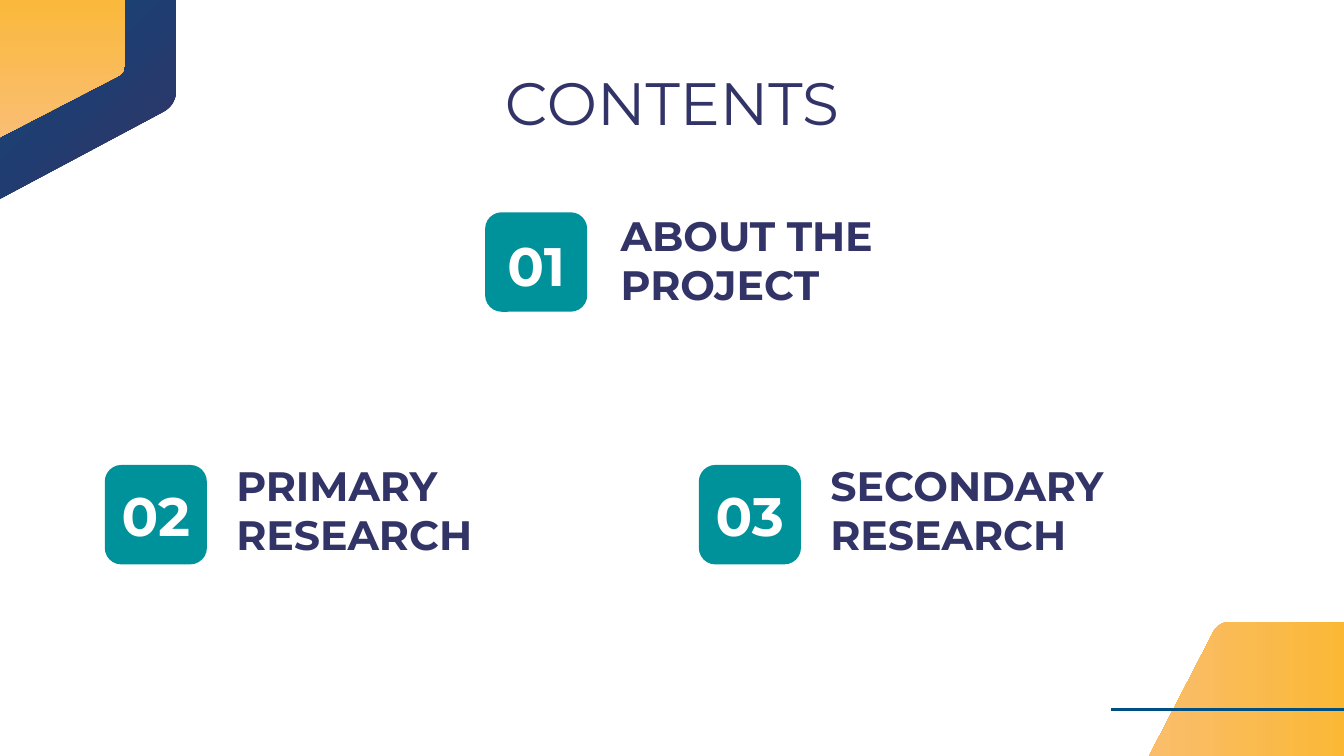
from lxml import etree
from pptx import Presentation
from pptx import util as u
from pptx.dml.color import RGBColor
from pptx.enum import shapes, text
from pptx.oxml import ns

FONT = "Montserrat"
COLORS = {"navy": "323366", "mid_blue": "194175", "blue": "004F83", "teal": "00929B",
          "white": "FFFFFF", "gold": "FAB403", "amber": "FAB93C", "peach": "FABE75"}
GOLD_STOPS = [(0, "gold"), (34, "amber"), (100, "peach")]
BLUE_STOPS = [(0, "navy"), (63, "mid_blue"), (100, "blue")]
TILE_WIDTH, TILE_HEIGHT = 0.76, 0.74
TEXT_HEIGHT = 0.58

# number, heading, tile left and top, number top, heading left and top
ITEMS = [
    ("01", "ABOUT THE PROJECT", 3.61, 1.58, 1.68, 4.52, 1.64),
    ("02", "PRIMARY RESEARCH", 0.78, 3.46, 3.54, 1.66, 3.5),
    ("03", "SECONDARY RESEARCH", 5.2, 3.46, 3.54, 6.08, 3.5),
]


def color(name):
    return RGBColor.from_string(COLORS[name])


def curve(start, control_1, control_2, end, steps=12):
    """Return points along a cubic Bezier curve."""
    points = []
    for step in range(steps + 1):
        t = step / steps
        weights = ((1 - t) ** 3, 3 * t * (1 - t) ** 2, 3 * t ** 2 * (1 - t), t ** 3)
        corners = (start, control_1, control_2, end)
        points.append(tuple(sum(w * c[axis] for w, c in zip(weights, corners))
                            for axis in (0, 1)))
    return points


def fill_gradient(shape, stops, angle):
    """Fill with any number of stops; the angle runs clockwise in degrees."""
    gradient = etree.Element(ns.qn("a:gradFill"), rotWithShape="1")
    stop_list = etree.SubElement(gradient, ns.qn("a:gsLst"))
    for position, name in stops:
        stop = etree.SubElement(stop_list, ns.qn("a:gs"), pos=str(position * 1000))
        etree.SubElement(stop, ns.qn("a:srgbClr"), val=COLORS[name])
    etree.SubElement(gradient, ns.qn("a:lin"), ang=str(angle * 60000), scaled="0")
    shape._element.spPr.find(ns.qn("a:custGeom")).addnext(gradient)


def add_panel(page, points, stops, angle):
    corners = [(u.Inches(x), u.Inches(y)) for x, y in points]
    builder = page.shapes.build_freeform(*corners[0])
    builder.add_line_segments(corners[1:], close=True)
    panel = builder.convert_to_shape()
    panel.shadow.inherit = False
    panel.line.fill.background()
    fill_gradient(panel, stops, angle)


def add_rule(page, left, right, top):
    rule = page.shapes.add_connector(
        shapes.MSO_CONNECTOR.STRAIGHT,
        u.Inches(left), u.Inches(top), u.Inches(right), u.Inches(top))
    rule.line.color.rgb = color("blue")
    rule.line.width = u.Pt(1.5)
    etree.SubElement(rule._element.spPr, ns.qn("a:effectLst"))


def write_text(box, words, size, name, bold=False, align=text.PP_ALIGN.LEFT,
               anchor=text.MSO_ANCHOR.MIDDLE):
    frame = box.text_frame
    frame.word_wrap = True
    frame.auto_size = text.MSO_AUTO_SIZE.NONE
    frame.vertical_anchor = anchor
    frame.margin_left = frame.margin_right = u.Inches(0.1)
    frame.margin_top = frame.margin_bottom = u.Inches(0.1)
    para = frame.paragraphs[0]
    para.alignment = align
    span = para.add_run()
    span.text = words
    span.font.name = FONT
    span.font.size = u.Pt(size)
    span.font.bold = bold
    span.font.color.rgb = color(name)


def add_text(page, left, top, width, words, size, name, align):
    box = page.shapes.add_textbox(u.Inches(left), u.Inches(top),
                                  u.Inches(width), u.Inches(TEXT_HEIGHT))
    write_text(box, words, size, name, bold=True, align=align)


def add_tile(page, left, top):
    tile = page.shapes.add_shape(
        shapes.MSO_SHAPE.ROUNDED_RECTANGLE, u.Inches(left), u.Inches(top),
        u.Inches(TILE_WIDTH), u.Inches(TILE_HEIGHT))
    tile.shadow.inherit = False
    tile.fill.solid()
    tile.fill.fore_color.rgb = color("teal")
    tile.line.fill.background()


def add_decoration(page):
    corner = curve((9.14, 4.63), (9.09, 4.63), (9.04, 4.67), (9.02, 4.72))
    add_panel(page, [(10.62, 6.05), (10.62, 4.63), *corner, (8.33, 6.05)],
              GOLD_STOPS, 180)
    corner = curve((1.22, 0.83), (1.27, 0.8), (1.31, 0.75), (1.31, 0.68))
    add_panel(page, [(1.31, -0.52), (-0.02, -0.52), (-0.02, 1.49), *corner],
              BLUE_STOPS, 225)
    corner = curve((0.93, 0.48), (0.93, 0.52), (0.91, 0.55), (0.87, 0.57))
    add_panel(page, [(-0.02, -0.51), (0.93, -0.51), *corner, (-0.02, 1.03)],
              GOLD_STOPS, 90)
    add_rule(page, 8.27, 10, 5.28)


def set_title(page, words):
    title = page.shapes.title
    title.left, title.top = u.Inches(0.78), u.Inches(0.39)
    title.width, title.height = u.Inches(8.44), u.Inches(0.63)
    write_text(title, words, 32, "navy", align=text.PP_ALIGN.CENTER,
               anchor=text.MSO_ANCHOR.TOP)


def main():
    deck = Presentation()
    deck.slide_width = u.Inches(10)
    deck.slide_height = deck.slide_width * 9 // 16
    page = deck.slides.add_slide(deck.slide_layouts[5])
    add_decoration(page)
    set_title(page, "CONTENTS")
    for number, heading, left, top, number_top, heading_left, heading_top in ITEMS:
        add_tile(page, left, top)
        add_text(page, left, number_top, TILE_WIDTH, number, 29, "white",
                 text.PP_ALIGN.CENTER)
        add_text(page, heading_left, heading_top, 2.55, heading, 22, "navy",
                 text.PP_ALIGN.LEFT)
    deck.save("out.pptx")


if __name__ == "__main__":
    main()
